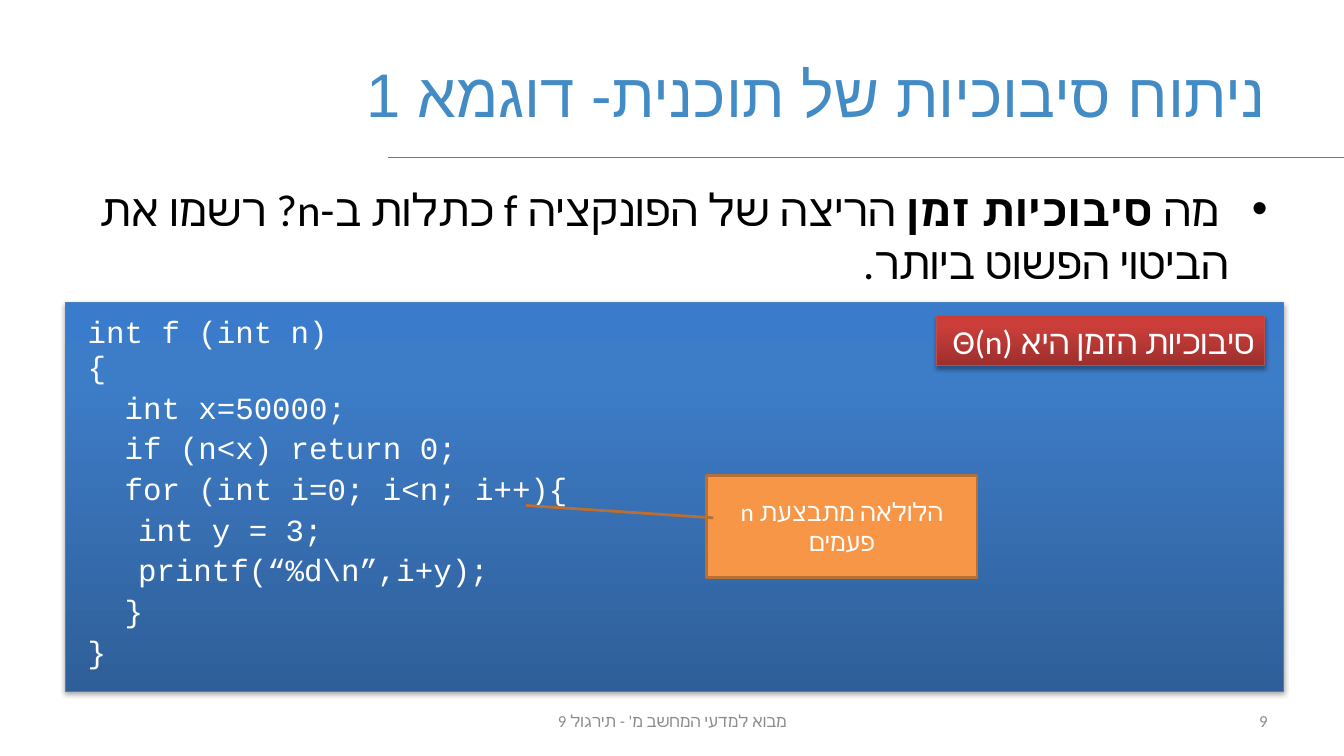
from copy import deepcopy

from lxml.etree import SubElement
from pptx import Presentation
from pptx.dml.color import RGBColor
from pptx.enum.shapes import MSO_CONNECTOR, MSO_SHAPE
from pptx.enum.text import MSO_ANCHOR, MSO_AUTO_SIZE, PP_ALIGN
from pptx.oxml.ns import qn
from pptx.util import Inches, Pt

COLORS = {
    "title": "438BC4",
    "body": "000000",
    "footer": "8C8C8C",
    "light": "FFFFFF",
    "blue_line": "4B7EBC",
    "red_line": "BF4C48",
    "callout": "F79646",
    "callout_line": "B76F34",
    "shadow": "000000",
}
BLUE_STOPS = [(0, "2F5F99"), (0.8, "3D7CC7"), (1, "3A7CCB")]
RED_STOPS = [(0, "9C2F2D"), (0.8, "CB3E3A"), (1, "CE3B37")]

TITLE_TEXT = "ניתוח סיבוכיות של תוכנית- דוגמא 1"
QUESTION = [
    (" מה ", False),
    ("סיבוכיות זמן", True),
    (" הריצה של הפונקציה f כתלות ב-n? רשמו את הביטוי הפשוט ביותר.", False),
]
CODE_HEAD = ["int f (int n)", "{"]
CODE_BODY = [
    "  int x=50000;",
    "  if (n<x) return 0;",
    "  for (int i=0; i<n; i++){",
    "\tint y = 3;",
    "\tprintf(“%d\\n”,i+y);",
    "  }\v}",
]


def rgb(name):
    return RGBColor.from_string(COLORS[name])


def set_values(target, values):
    for name, value in values.items():
        setattr(target, name, value)


def style_spans(para, size, color, name):
    for span in para.runs:
        set_values(span.font, {"size": Pt(size), "name": name})
        span.font.color.rgb = rgb(color)
        SubElement(span.font._element, qn("a:cs"), typeface=name)


def write_hebrew(box, spans, size, color, align=PP_ALIGN.RIGHT, font="Calibri", bullet=False):
    para = box.text_frame.paragraphs[0]
    para.alignment = align
    properties = para._p.get_or_add_pPr()
    properties.set("rtl", "1")
    if bullet:
        properties.set("marR", "0")
        properties.set("marL", str(Inches(0.38)))
        properties.set("indent", str(Inches(-0.38)))
        SubElement(properties, qn("a:buFont"), typeface="Arial")
        SubElement(properties, qn("a:buChar"), char="•")
    for text, bold in spans:
        span = para.add_run()
        span.text = text
        span.font.bold = bold
    style_spans(para, size, color, font)


def add_text(page, bounds, anchor):
    box = page.shapes.add_textbox(*map(Inches, bounds))
    set_values(box.text_frame, {"word_wrap": True, "vertical_anchor": anchor})
    return box


def add_panel(page, bounds, stops, line):
    panel = page.shapes.add_shape(MSO_SHAPE.RECTANGLE, *map(Inches, bounds))
    panel.fill.gradient()
    panel.fill.gradient_angle = 90
    stop_list = panel._element.spPr.find(".//" + qn("a:gsLst"))
    stop_list.append(deepcopy(stop_list[0]))
    for stop, (position, color) in zip(panel.fill.gradient_stops, stops):
        stop.position = position
        stop.color.rgb = RGBColor.from_string(color)
    panel.line.color.rgb = rgb(line)
    panel.line.width = Pt(0.75)
    add_shadow(panel)
    return panel


def add_shadow(panel):
    panel.shadow.inherit = False
    effects = panel._element.spPr.find(qn("a:effectLst"))
    shadow = SubElement(effects, qn("a:outerShdw"), blurRad=str(Pt(3.1)),
                        dist=str(Pt(1.8)), dir="5400000", rotWithShape="0")
    color = SubElement(shadow, qn("a:srgbClr"), val=COLORS["shadow"])
    SubElement(color, qn("a:alpha"), val="35000")


def add_rule(page):
    rule = page.shapes.add_connector(
        MSO_CONNECTOR.STRAIGHT, Inches(13.33), Inches(1.56), Inches(3.85), Inches(1.56))
    rule.line.color.rgb = rgb("blue_line")
    rule.line.width = Pt(0.75)
    SubElement(rule._element.spPr, qn("a:effectLst"))


def add_code(page):
    panel = add_panel(page, (0.65, 3, 12.08, 3.86), BLUE_STOPS, "blue_line")
    frame = panel.text_frame
    set_values(frame, {
        "margin_left": Inches(0.22), "margin_right": Inches(0.22),
        "margin_top": Inches(0.17), "margin_bottom": Inches(0.17),
        "word_wrap": True, "vertical_anchor": MSO_ANCHOR.TOP,
        "auto_size": MSO_AUTO_SIZE.SHAPE_TO_FIT_TEXT,
    })
    for index, line in enumerate(CODE_HEAD + CODE_BODY):
        para = frame.add_paragraph() if index else frame.paragraphs[0]
        para.text = line
        in_head = index < len(CODE_HEAD)
        set_values(para, {"alignment": PP_ALIGN.LEFT, "line_spacing": 0.8 if in_head else 1.1})
        if in_head:
            para._p.pPr.set("marL", str(Inches(0.38)))
            para._p.pPr.set("indent", str(Inches(-0.38)))
            para.space_before = Pt(4.4 if index else 0)
        style_spans(para, 22, "light", "Courier New")


def add_callout(page):
    callout = page.shapes.add_shape(
        MSO_SHAPE.LINE_CALLOUT_1, Inches(7.01), Inches(4.72), Inches(2.68), Inches(1.01))
    for index, value in enumerate((0.413, 0.024, 0.292, -0.669)):
        callout.adjustments[index] = value
    callout.shadow.inherit = False
    callout.fill.solid()
    callout.fill.fore_color.rgb = rgb("callout")
    callout.line.color.rgb = rgb("callout_line")
    callout.line.width = Pt(2)
    set_values(callout.text_frame, {"word_wrap": True, "vertical_anchor": MSO_ANCHOR.MIDDLE})
    write_hebrew(callout, [("הלולאה מתבצעת n פעמים", False)], 18, "light", PP_ALIGN.CENTER)


def add_answer(page):
    answer = add_panel(page, (9.29, 3.13, 3.25, 0.5), RED_STOPS, "red_line")
    set_values(answer.text_frame, {
        "word_wrap": False, "vertical_anchor": MSO_ANCHOR.TOP,
        "auto_size": MSO_AUTO_SIZE.SHAPE_TO_FIT_TEXT,
    })
    write_hebrew(answer, [("סיבוכיות הזמן היא Θ(n)", False)], 24, "light")


def main():
    deck = Presentation()
    set_values(deck, {"slide_width": Inches(13.33), "slide_height": Inches(7.5)})
    page = deck.slides.add_slide(deck.slide_layouts[6])
    add_rule(page)
    title = add_text(page, (0.67, 0.3, 12, 1.25), MSO_ANCHOR.MIDDLE)
    write_hebrew(title, [(TITLE_TEXT, False)], 44, "title", font="Arial")
    question = add_text(page, (0.67, 1.75, 12, 4.95), MSO_ANCHOR.TOP)
    write_hebrew(question, QUESTION, 32, "body", bullet=True)
    footer = add_text(page, (4.56, 6.95, 4.22, 0.4), MSO_ANCHOR.MIDDLE)
    write_hebrew(footer, [("מבוא למדעי המחשב מ' - תירגול 9", False)], 12, "footer", PP_ALIGN.CENTER)
    number = add_text(page, (9.56, 6.95, 3.11, 0.4), MSO_ANCHOR.MIDDLE)
    write_hebrew(number, [("9", False)], 12, "footer")
    add_code(page)
    add_callout(page)
    add_answer(page)
    deck.save("out.pptx")


if __name__ == "__main__":
    main()
